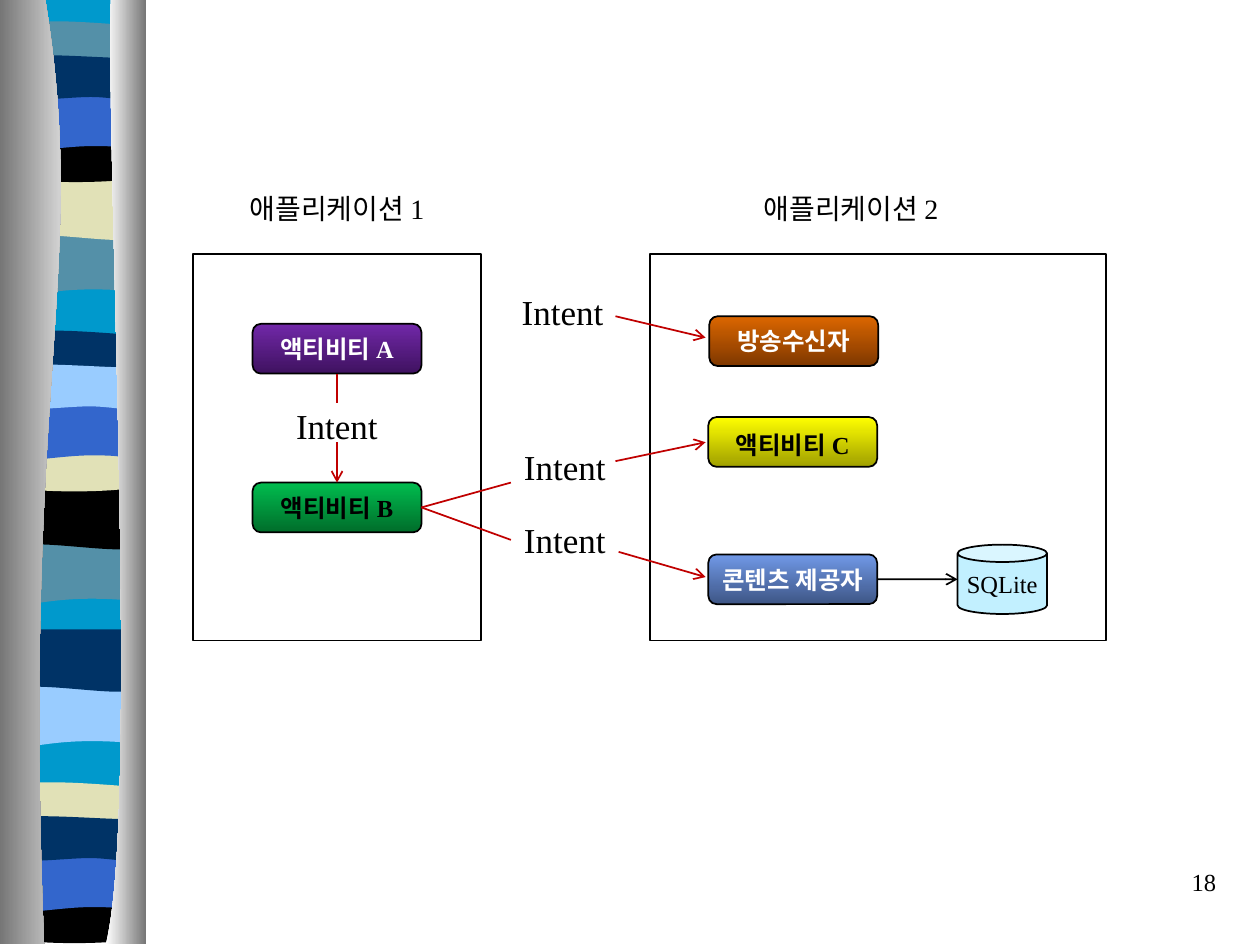
from dataclasses import dataclass

from lxml import etree
from pptx import Presentation
from pptx.dml.color import RGBColor
from pptx.enum.shapes import MSO_CONNECTOR, MSO_SHAPE
from pptx.enum.text import MSO_ANCHOR, PP_ALIGN
from pptx.oxml.ns import qn
from pptx.util import Inches, Pt

STRAIGHT = MSO_CONNECTOR.STRAIGHT
RECTANGLE, ROUNDED, CAN = MSO_SHAPE.RECTANGLE, MSO_SHAPE.ROUNDED_RECTANGLE, MSO_SHAPE.CAN
CENTER, RIGHT = PP_ALIGN.CENTER, PP_ALIGN.RIGHT
TOP, MIDDLE = MSO_ANCHOR.TOP, MSO_ANCHOR.MIDDLE
TOP_SIDE, BOTTOM_SIDE, RIGHT_SIDE = 0, 2, 3

COLUMNS, ROWS = 100, 75
CELL = Inches(10) / COLUMNS
NODE_SIZE = (13.4, 3.95)
MASTER_ID_START = 100


@dataclass(frozen=True)
class Theme:
    font: str = "Times New Roman"
    ink: str = "000000"
    paper: str = "FFFFFF"
    arrow: str = "C00000"
    database: str = "C2F0FF"
    sky: str = "0099CC"
    teal: str = "5490A8"
    sand: str = "E1E1B7"
    blue: str = "3366CC"
    navy: str = "003366"
    pale: str = "99CCFF"
    gray: str = "767676"
    intent_size: int = 20
    heading_size: int = 16
    node_size: int = 14
    line_width: int = 1


THEME = Theme()

WAVE = [(11.4, 18.5), (11.4, 23.2), (3.9, 22.4, 2.4, 24, 0.6, 23.2), (0.6, 18.5)]
FLAG = [(11.4, 14.1), (11.4, 18.8), (9.6, 19.6, 3.9, 18.2, 0.6, 18.8), (0.6, 14.1)]
LENS = [(11.4, 2.1), (11.4, 4.5), (9.6, 4.9, 2.4, 4.9, 0.6, 4.5), (0.6, 2.1),
        (1.2, 1.6, 2.9, 1.7, 4.7, 1.7), (6.5, 1.7, 10, 2, 11.4, 2.1)]
SLAB = [(11.4, 10.8), (11.4, 14), (9.6, 14.6, 2.4, 14.6, 0.6, 14), (0.6, 10.8),
        (7.2, 11.3, 9.1, 10.8, 11.4, 10.8)]
ARCH = [(11.4, 7.4), (11.4, 12.1), (9.7, 11.6, 9, 11.6, 7.2, 11.6),
        (5.4, 11.6, 2.2, 12.1, 0.6, 12.1), (0.6, 7.4)]
RIBBON = [(11.4, 4.6), (11.4, 7.7), (10.7, 8.2, 9, 7.7, 7.2, 7.7),
          (5.4, 7.7, 1.7, 8.2, 0.6, 7.7), (0.6, 4.6), (2.1, 4.1, 7.9, 4.6, 9.7, 4.6),
          (11.5, 4.6, 11, 4.6, 11.4, 4.6)]
STRIPES = [WAVE, FLAG, LENS, SLAB, ARCH, RIBBON]
STRIPE_SETS = [
    (0, [0] * 6,
     [THEME.teal, THEME.sand, THEME.teal, THEME.ink, THEME.blue, THEME.navy]),
    (-0.1, [24.55] * 6,
     [THEME.teal, THEME.ink, THEME.navy, THEME.sand, THEME.blue, THEME.pale]),
    (-0.1, [35.85] * 2 + [60.4] * 4,
     [THEME.pale, THEME.navy, THEME.sand, THEME.ink, THEME.blue, THEME.navy]),
]
BACKDROP = [(11.4, 0), (11.4, 74.7), (0.6, 74.7), (0.6, 0)]
LEFT_EDGE = [(3.6, 0), (7.1, 21.6, 1.7, 29.6, 3.5, 74.9), (0, 74.9), (0, 0)]
RIGHT_EDGE = [(8.8, 0), (8.4, 12.5, 11.1, 64.6, 8.4, 74.9), (11.6, 74.9), (11.6, 0)]


def grid(*cells):
    return [round(cell * CELL) for cell in cells]


def paint(shape, colors, angle=90):
    fill = shape.fill
    if len(colors) == 1:
        fill.solid()
        fill.fore_color.rgb = RGBColor.from_string(colors[0])
        return
    fill.gradient()
    fill.gradient_angle = angle
    for stop, color in zip(fill.gradient_stops, colors):
        stop.color.rgb = RGBColor.from_string(color)


def write(shape, text, size, color=THEME.ink, bold=False, align=CENTER, anchor=MIDDLE, wrap=False):
    frame = shape.text_frame
    frame.text = text
    frame.word_wrap = wrap
    frame.vertical_anchor = anchor
    paragraph = frame.paragraphs[0]
    paragraph.alignment = align
    for run in paragraph.runs:
        run.font.name = THEME.font
        run.font.size = Pt(size)
        run.font.bold = bold
        run.font.color.rgb = RGBColor.from_string(color)


def add_box(slide, kind, place, *colors):
    shape = slide.shapes.add_shape(kind, *grid(*place))
    shape.shadow.inherit = False
    paint(shape, colors)
    shape.line.color.rgb = RGBColor.from_string(THEME.ink)
    shape.line.width = Pt(THEME.line_width)
    return shape


def add_node(slide, column, row, text, dark, light, color):
    node = add_box(slide, ROUNDED, (column, row, *NODE_SIZE), dark, light)
    write(node, text, THEME.node_size, color, bold=True)
    return node


def add_label(slide, place, text, size, align=CENTER, wrap=False):
    label = slide.shapes.add_textbox(*grid(*place))
    write(label, text, size, align=align, anchor=TOP, wrap=wrap)


def add_link(slide, start, end, color=THEME.arrow, arrow=False, source=None, target=None):
    link = slide.shapes.add_connector(STRAIGHT, *grid(*start, *end))
    if source:
        link.begin_connect(*source)
    if target:
        link.end_connect(*target)
    link.line.color.rgb = RGBColor.from_string(color)
    link.line.width = Pt(THEME.line_width)
    if arrow:
        etree.SubElement(link.line._get_or_add_ln(), qn("a:tailEnd"), type="arrow")
    etree.SubElement(link._element.spPr, qn("a:effectLst"))


def bend(shape, segments):
    steps = iter(list(shape._element.iter(qn("a:lnTo"))))
    for segment in segments:
        first = next(steps)
        if len(segment) == 2:
            continue
        curve = etree.Element(qn("a:cubicBezTo"))
        first.addprevious(curve)
        for step in (first, next(steps), next(steps)):
            curve.append(step[0])
            step.getparent().remove(step)


def add_outline(shapes, outline, *colors, shift=(0, 0)):
    points = [grid(segment[i] + shift[0], segment[i + 1] + shift[1])
              for segment in outline for i in range(0, len(segment), 2)]
    builder = shapes.build_freeform(*points[0])
    builder.add_line_segments(points[1:], close=True)
    shape = builder.convert_to_shape()
    bend(shape, outline[1:])
    shape.shadow.inherit = False
    paint(shape, colors, angle=0)
    shape.line.fill.background()


def add_side_band(slide, master):
    band = slide.shapes.add_group_shape()
    add_outline(band.shapes, BACKDROP, THEME.sky)
    for column, rows, colors in STRIPE_SETS:
        for outline, row, color in zip(STRIPES, rows, colors):
            add_outline(band.shapes, outline, color, shift=(column, row))
    add_outline(band.shapes, LEFT_EDGE, THEME.gray, THEME.paper)
    add_outline(band.shapes, RIGHT_EDGE, THEME.paper, THEME.gray)
    for number, properties in enumerate(band._element.iter(qn("p:cNvPr")), MASTER_ID_START):
        properties.set("id", str(number))
    master.shapes._spTree.append(band._element)


def add_applications(slide):
    first = add_box(slide, RECTANGLE, (15.3, 20.15, 22.88, 30.7), THEME.paper)
    write(first, "Intent", THEME.intent_size)
    first.text_frame.margin_bottom = grid(3.9)[0]
    add_box(slide, RECTANGLE, (51.6, 20.15, 36.2, 30.7), THEME.paper)
    for column, text in ((18.5, "애플리케이션 1"), (59.3, "애플리케이션 2")):
        add_label(slide, (column, 14.7, 16.5, 3.7), text, THEME.heading_size)


def add_components(slide):
    activity_a = add_node(slide, 20.05, 25.7, "액티비티 A", "3F1260", "7128A8", THEME.paper)
    activity_b = add_node(slide, 20.05, 38.3, "액티비티 B", "006D2A", "00BD4F", THEME.ink)
    provider = add_node(slide, 56.22, 44, "콘텐츠 제공자", "3E5686", "7098E6", THEME.paper)
    activity_c = add_node(slide, 56.22, 33.1, "액티비티 C", "A0A000", "FFFF00", THEME.ink)
    activity_c.text_frame.margin_top = grid(1)[0]
    add_node(slide, 56.3, 25.1, "방송수신자", "7F3800", "DB6600", THEME.paper)
    database = add_box(slide, CAN, (76, 43.23, 7.1, 5.5), THEME.database)
    write(database, "SQLite", THEME.node_size)

    add_link(slide, (26.75, 29.65), (26.75, 32), source=(activity_a, BOTTOM_SIDE))
    add_link(slide, (26.75, 35.1), (26.75, 38.3), arrow=True, target=(activity_b, TOP_SIDE))
    for row in (38.3, 42.85):
        add_link(slide, (33.45, 40.28), (40.55, row), source=(activity_b, RIGHT_SIDE))
    for start, end in (((48.85, 25.1), (56, 26.8)),
                       ((48.85, 36.6), (56, 35.1)),
                       ((49.1, 43.8), (56, 45.8))):
        add_link(slide, start, end, arrow=True)
    add_link(slide, (69.62, 45.98), (76, 45.98), THEME.ink, arrow=True,
             source=(provider, RIGHT_SIDE))

    for column, row, height in ((40.4, 22.55, 8.4), (40.57, 34.9, 4.4), (40.57, 40.65, 4.4)):
        add_label(slide, (column, row, 8.5, height), "Intent", THEME.intent_size)


def main():
    presentation = Presentation()
    presentation.slide_width, presentation.slide_height = grid(COLUMNS, ROWS)
    slide = presentation.slides.add_slide(presentation.slide_layouts[6])
    add_side_band(slide, presentation.slide_master)
    add_applications(slide)
    add_components(slide)
    add_label(slide, (76.7, 68.3, 20.8, 5), "18", THEME.node_size, RIGHT, wrap=True)
    presentation.save("out.pptx")


if __name__ == "__main__":
    main()
